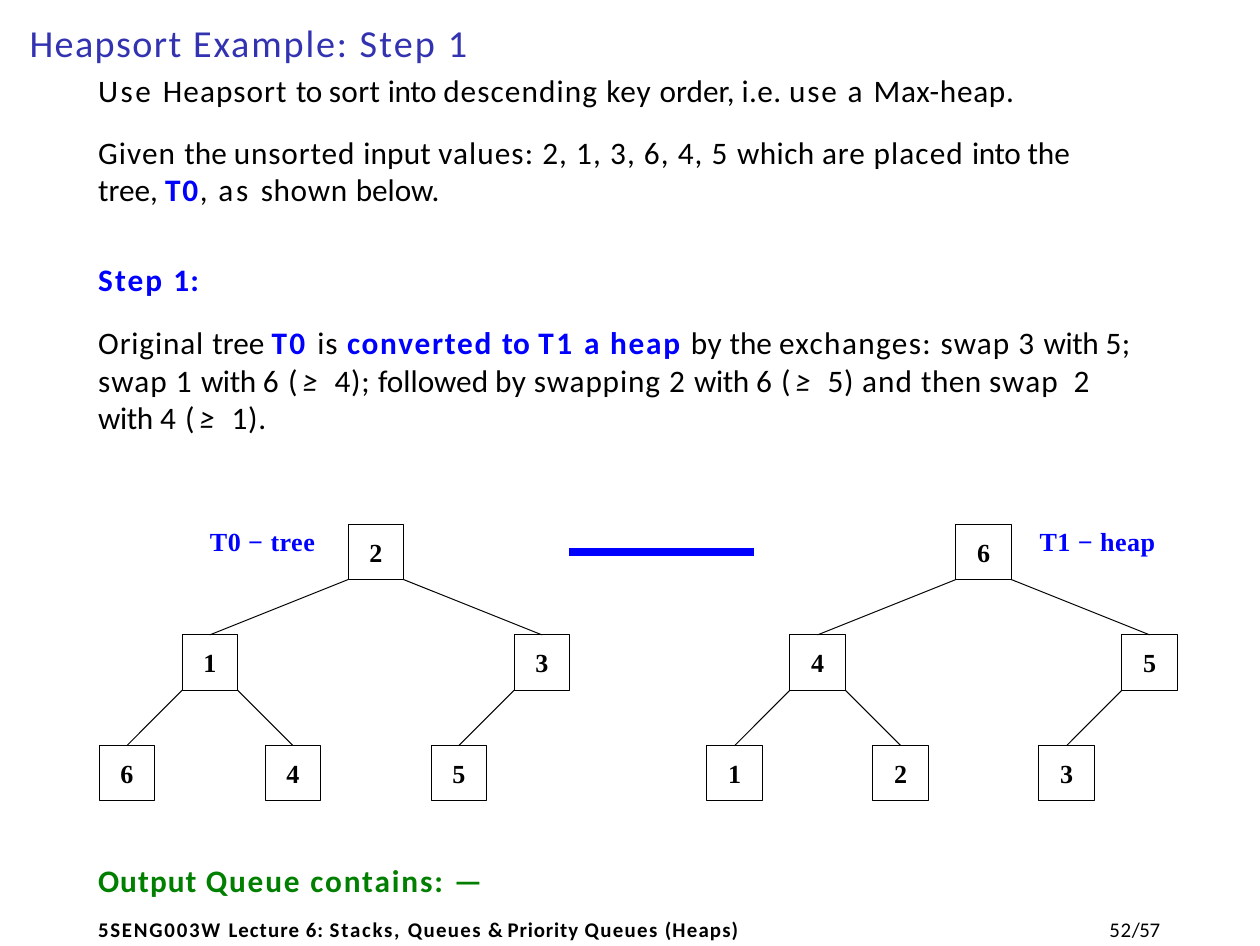
from lxml import etree
from pptx import Presentation
from pptx.dml.color import RGBColor
from pptx.enum.shapes import MSO_CONNECTOR, MSO_SHAPE
from pptx.enum.text import MSO_ANCHOR, MSO_AUTO_SIZE, PP_ALIGN
from pptx.oxml.ns import qn
from pptx.util import Pt

RECTANGLE, STRAIGHT = MSO_SHAPE.RECTANGLE, MSO_CONNECTOR.STRAIGHT
TOP, MIDDLE = MSO_ANCHOR.TOP, MSO_ANCHOR.MIDDLE
LEFT, CENTER = PP_ALIGN.LEFT, PP_ALIGN.CENTER
NO_FIT = MSO_AUTO_SIZE.NONE

# Styles: font, size, colour, bold, italic
TITLE = ("Calibri", 11, "3333B2", False, False)
PLAIN = ("Calibri", 9, "000000", False, False)
SYMBOL = ("Calibri", 9, "000000", False, True)
KEY = ("Calibri", 9, "0000FF", True, False)
OUTPUT = ("Calibri", 9, "007F00", True, False)
FOOTER = ("Calibri", 6, "000000", True, False)
NUMBER = ("Calibri", 6, "000000", False, False)
NODE = ("Times New Roman", 7.5, "000000", True, False)
LABEL = ("Times New Roman", 7.5, "0000FF", True, False)

# Spans: text, letter spacing in points, and a style where it is not the box's own
TITLE_LINE = [("Heapsort ", 0.4), ("Example: ", 0.5), ("Step ", 0.6), ("1", 0.4)]

# Paragraphs: space before, then lines of spans
BODY = [
    (0, [[("Use ", 0.7), ("Heapsort ", 0.3), ("to ", -0.1), ("sort ", 0.1),
          ("into ", -0.1), ("descending ", 0.3), ("key ", 0.25), ("order, ", 0),
          ("i.e. ", 0.1), ("use ", 0.5), ("a ", 0.6), ("Max-heap.", 0.2)]]),
    (7.1, [[("Given ", 0.3), ("the ", 0), ("unsorted ", 0.25), ("input ", 0.05),
            ("values: ", 0.3), ("2, 1, 3, 6, 4, ", 0.3), ("5 ", 0.3),
            ("which ", 0.1), ("are ", 0.25), ("placed ", 0.3), ("into ", -0.1),
            ("the", 0)],
           [("tree, ", 0), ("T0", 0.5, KEY), (", ", 0.5), ("as ", 0.8),
            ("shown ", 0.2), ("below.", 0)]]),
    (15, [[("Step ", 0.6, KEY), ("1:", 0.4, KEY)]]),
    (7.3, [[("Original ", 0.25), ("tree ", 0), ("T0 ", 0.7, KEY), ("is ", 0.3),
            ("converted ", 0.5, KEY), ("to ", 0.2, KEY), ("T1 ", 0.7, KEY),
            ("a heap ", 0.5, KEY), ("by ", 0.1), ("the ", 0),
            ("exchanges: ", 0.4), ("swap 3 ", 0.3), ("with ", -0.1), ("5;", 0.2)],
           [("swap 1 ", 0.3), ("with ", -0.1), ("6 ", 0.3), ("(", 1.4),
            ("≥ ", 1.4, SYMBOL), ("4); ", 0.2), ("followed ", 0), ("by ", 0.1),
            ("swapping ", 0.25), ("2 ", 0.3), ("with ", -0.1), ("6 ", 0.3),
            ("(", 1.4), ("≥ ", 1.4, SYMBOL), ("5) ", 0.2), ("and ", 0.3),
            ("then ", 0.1), ("swap", 0.3), (" ", 2.2), ("2", 0.3)],
           [("with ", -0.1), ("4 ", 0.3), ("(", 1.4), ("≥ ", 1.4, SYMBOL),
            ("1).", 0.2)]]),
]

# Single-line boxes: left, top, width, height, style, spans
LINES = [
    (28.3, 248, 160, 12, OUTPUT,
     [("Output ", 0.3), ("Queue contains: ", 0.55), ("—", 0.8)]),
    (28.3, 264.2, 200, 8, FOOTER,
     [("5SENG003W ", 0.5), ("Lecture ", 0.3), ("6: ", 0.25), ("Stacks, ", 0.5),
      ("Queues ", 0.4), ("& ", 0), ("Priority ", 0.25), ("Queues ", 0.4),
      ("(Heaps)", 0.35)]),
    (319.6, 264.2, 24, 8, NUMBER, [("52", 0.2), ("/57", -0.1)]),
    (60.5, 151.5, 40, 9, LABEL, [("T0 − tree", 0.1)]),
    (299.5, 151.5, 42, 9, LABEL, [("T1 − heap", 0.1)]),
]

# Trees in level order; slots are (column, row) and node i has parent (i - 1) // 2
TREES = [["2", "1", "3", "6", "4", "5"], ["6", "4", "5", "1", "2", "3"]]
SLOTS = [(3, 0), (1, 1), (5, 1), (0, 2), (2, 2), (4, 2)]
TREE_LEFT, TREE_TOP = 28.6, 151
SIDE = 15.94
COLUMN_STEP, ROW_STEP, TREE_STEP = 1.5 * SIDE, 2 * SIDE, 175.1


def color(value):
    return RGBColor.from_string(value)


def add_spans(para, spans, style):
    for text, spacing, *own in spans:
        span = para.add_run()
        span.text = text
        name, size, ink, bold, italic = own[0] if own else style
        span.font.name, span.font.size = name, Pt(size)
        span.font.color.rgb = color(ink)
        span.font.bold, span.font.italic = bold, italic
        span._r.get_or_add_rPr().set("spc", str(round(spacing * 100)))


def add_break(para, size):
    """Break the line at the given text size, so the line keeps its height."""
    line_break = etree.SubElement(para._p, qn("a:br"))
    etree.SubElement(line_break, qn("a:rPr")).set("sz", str(size * 100))


def prepare(frame, anchor=TOP):
    frame.margin_left = frame.margin_right = 0
    frame.margin_top = frame.margin_bottom = 0
    frame.word_wrap = True
    frame.auto_size = NO_FIT
    frame.vertical_anchor = anchor
    return frame


def place(box, left, top, width, height):
    box.left, box.top, box.width, box.height = map(Pt, (left, top, width, height))


def add_line(page, start, end, ink, weight):
    line = page.shapes.add_connector(STRAIGHT, *map(Pt, (*start, *end)))
    line.line.color.rgb = color(ink)
    line.line.width = Pt(weight)
    etree.SubElement(line._element.spPr, qn("a:effectLst"))


def add_title(page):
    title = page.shapes.title
    place(title, 8.5, 5.7, 130, 14)
    para = prepare(title.text_frame).paragraphs[0]
    para.alignment = LEFT
    add_spans(para, TITLE_LINE, TITLE)


def add_body(page):
    body = page.placeholders[1]
    place(body, 28.3, 20.4, 306.5, 106)
    frame = prepare(body.text_frame)
    for index, (space, lines) in enumerate(BODY):
        para = frame.add_paragraph() if index else frame.paragraphs[0]
        props = para._p.get_or_add_pPr()
        props.set("marL", "0")
        props.set("indent", "0")
        etree.SubElement(props, qn("a:buNone"))
        para.space_before = Pt(space)
        for number, spans in enumerate(lines):
            if number:
                add_break(para, PLAIN[1])
            add_spans(para, spans, PLAIN)


def add_tree(page, keys, tree_left):
    corners = [(tree_left + column * COLUMN_STEP, TREE_TOP + row * ROW_STEP)
               for column, row in SLOTS]
    for index, (key, (left, top)) in enumerate(zip(keys, corners)):
        node = page.shapes.add_shape(RECTANGLE, *map(Pt, (left, top, SIDE, SIDE)))
        node.shadow.inherit = False
        node.fill.background()
        node.line.color.rgb = color("000000")
        node.line.width = Pt(0.27)
        para = prepare(node.text_frame, MIDDLE).paragraphs[0]
        para.alignment = CENTER
        add_spans(para, [(key, 0.1)], NODE)
        if index:
            parent_left, parent_top = corners[(index - 1) // 2]
            start_x = parent_left if index % 2 else parent_left + SIDE
            add_line(page, (start_x, parent_top + SIDE), (left + SIDE / 2, top),
                     "000000", 0.27)


def main():
    deck = Presentation()
    deck.slide_width, deck.slide_height = Pt(363), Pt(272.5)
    page = deck.slides.add_slide(deck.slide_layouts[1])
    add_title(page)
    add_body(page)
    for index, keys in enumerate(TREES):
        add_tree(page, keys, TREE_LEFT + index * TREE_STEP)
    middle = TREE_TOP + SIDE / 2
    add_line(page, (164, middle), (217.2, middle), "0000FF", 2.12)
    for left, top, width, height, style, spans in LINES:
        box = page.shapes.add_textbox(*map(Pt, (left, top, width, height)))
        add_spans(prepare(box.text_frame).paragraphs[0], spans, style)
    deck.save("out.pptx")


if __name__ == "__main__":
    main()
